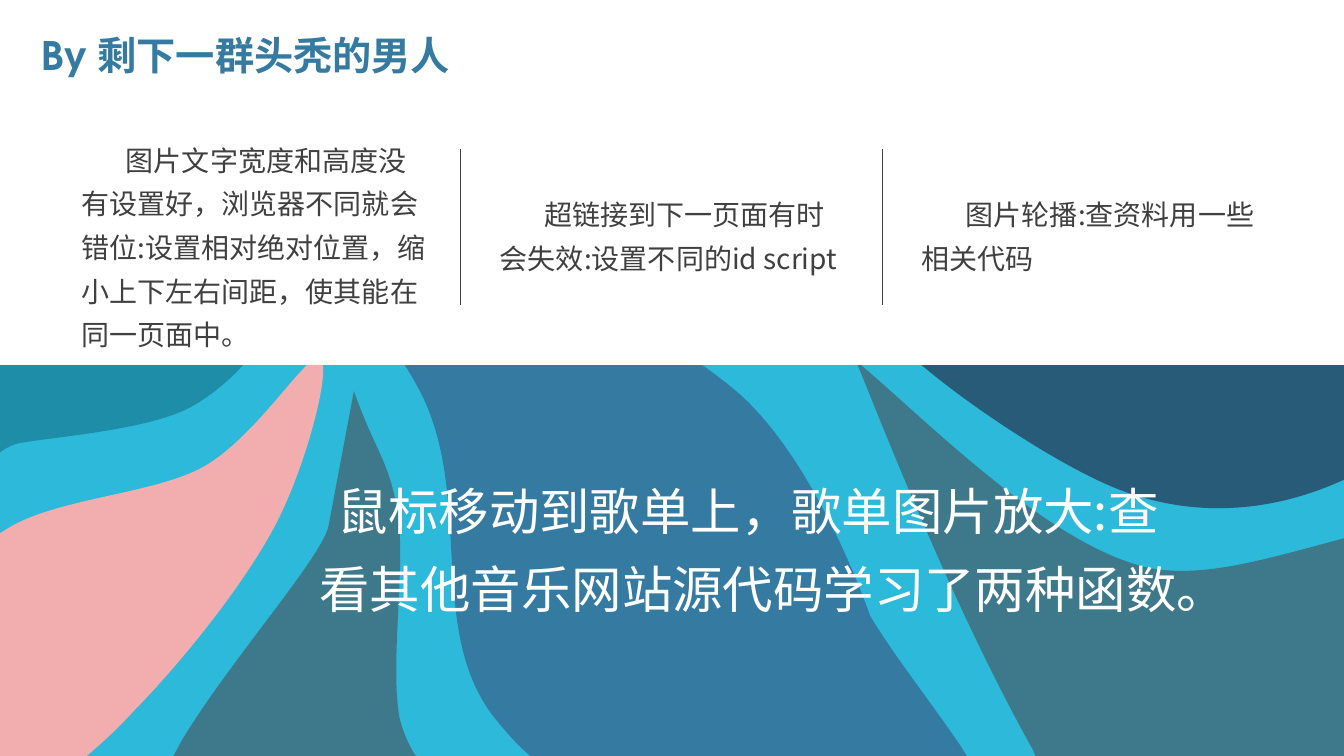
import pptx
import pptx.dml.color
import pptx.enum.shapes
import pptx.enum.text
import pptx.oxml
import pptx.oxml.ns
import pptx.util
import lxml.etree
from dataclasses import dataclass

Inches = pptx.util.Inches
ALIGN = pptx.enum.text.PP_ALIGN
ANCHOR = pptx.enum.text.MSO_ANCHOR
AUTO_SIZE = pptx.enum.text.MSO_AUTO_SIZE
qn = pptx.oxml.ns.qn


@dataclass(frozen=True)
class Theme:
    sky: str = "2DB9DA"
    teal: str = "1E8DA8"
    pink: str = "F2AEAE"
    slate: str = "3D798A"
    blue: str = "357AA0"
    navy: str = "285B78"
    white: str = "FFFFFF"
    ink: str = "404040"
    title_font: str = "TeX Gyre Adventor"
    text_font: str = "Noto Sans CJK SC"
    title_size: int = 28
    column_size: int = 20
    summary_size: int = 36
    rule_width: float = 0.5


THEME = Theme()

# Content
TITLE = "By 剩下一群头秃的男人"
COLUMNS = [  # left, top, width, height, text
    (0.71, 1.27, 3.69, 2.29,
     "图片文字宽度和高度没有设置好，浏览器不同就会错位:设置相对绝对位置，缩小上下左右间距，使其能在同一页面中。"),
    (4.86, 1.81, 3.6, 0.98, "超链接到下一页面有时会失效:设置不同的id script"),
    (9.04, 1.81, 3.6, 0.98, "图片轮播:查资料用一些相关代码"),
]
SUMMARY = "鼠标移动到歌单上，歌单图片放大:查看其他音乐网站源代码学习了两种函数。"
DIVIDERS = [4.57, 8.75]

# Leaves: colour, then a start point, lines (x, y) and curves (two controls, end)
LEAVES = [
    (THEME.teal, [
        (0, 0), (0.33, 0), (0.38, 0.08), (0.87, 0.8, 1.61, 1.89, 1.95, 2.33),
        (2.4, 2.92, 2.73, 2.77, 2.72, 3.05), (2.71, 3.34, 2.31, 3.81, 1.89, 4.04),
        (1.48, 4.26, 0.59, 4.33, 0.23, 4.39), (0.14, 4.4, 0.07, 4.44, 0.01, 4.48),
        (0, 4.49)]),
    (THEME.pink, [
        (3.15, 3.55), (3.16, 3.55, 3.17, 3.56, 3.18, 3.56),
        (3.29, 3.66, 3.03, 4.65, 2.72, 5.23), (2.41, 5.81, 1.81, 6.56, 1.33, 7.05),
        (1.21, 7.18, 1.08, 7.31, 0.94, 7.43), (0.86, 7.5), (0, 7.5), (0, 5.29),
        (0.08, 5.24), (0.57, 4.94, 1.54, 4.9, 2.02, 4.63),
        (2.53, 4.34, 3, 3.57, 3.15, 3.55)]),
    (THEME.slate, [
        (3.51, 3.88), (3.73, 4.5, 3.87, 4.58, 3.95, 5.12),
        (4.02, 5.66, 3.87, 6.56, 3.96, 7.11), (3.99, 7.24, 4.04, 7.36, 4.11, 7.48),
        (4.13, 7.5), (1.72, 7.5), (1.8, 7.35), (2.29, 6.54, 3.21, 5.51, 3.26, 5.21)]),
    (THEME.blue, [
        (1.14, -0.01), (2.78, -0.01), (2.85, 0.11), (3.12, 0.62, 3.5, 1.26, 4.02, 1.74),
        (4.84, 2.5, 6.62, 3.24, 7.39, 3.96), (8.15, 4.69, 8.63, 6.11, 8.63, 6.11),
        (8.85, 6.48, 9.22, 6.95, 9.52, 7.39), (9.59, 7.5), (5.26, 7.5), (5.16, 7.41),
        (5.05, 7.3, 4.96, 7.19, 4.88, 7.09), (4.24, 6.23, 4.69, 4.94, 4.18, 3.91),
        (3.66, 2.89, 2.3, 1.69, 1.77, 0.95), (1.51, 0.58, 1.29, 0.27, 1.15, 0.02)]),
    (THEME.navy, [
        (13.19, 2.81), (13.33, 2.81), (13.33, 4.76), (13.26, 4.79),
        (12.66, 5.05, 11.94, 5.15, 11.19, 4.89), (10.45, 4.64, 8.98, 3.6, 8.79, 3.26),
        (9.32, 3.26, 10.25, 3.18, 10.98, 3.11), (11.51, 3.03, 12.41, 2.79, 13.19, 2.81)]),
    (THEME.slate, [
        (8.49, 3.58), (9.14, 4.12, 10.31, 5.33, 11.3, 5.61),
        (11.79, 5.75, 12.39, 5.59, 12.96, 5.44), (13.33, 5.34), (13.33, 7.5),
        (10.27, 7.5), (10.24, 7.43), (9.43, 5.98, 8.72, 4.14, 8.49, 3.58)]),
]


def color(code):
    return pptx.dml.color.RGBColor.from_string(code)


def paint(shape, code):
    shape.fill.solid()
    shape.fill.fore_color.rgb = color(code)
    shape.line.fill.background()
    shape.shadow.inherit = False


def add_leaf(slide, code, segments):
    """Join the end points with lines, then bend the curved segments."""
    ends = [(Inches(segment[-2]), Inches(segment[-1])) for segment in segments]
    builder = slide.shapes.build_freeform(*ends[0])
    builder.add_line_segments(ends[1:], close=True)
    leaf = builder.convert_to_shape()
    lines = list(leaf._element.iter(qn("a:lnTo")))
    for line, segment in zip(lines, segments[1:]):
        if len(segment) == 2:
            continue
        line.tag = qn("a:cubicBezTo")
        line.remove(line[0])
        for x, y in zip(segment[::2], segment[1::2]):
            lxml.etree.SubElement(line, qn("a:pt"), x=str(Inches(x) - leaf.left),
                                  y=str(Inches(y) - leaf.top))
    paint(leaf, code)


def write(shape, text, font_name, size, code, spacing, align, bold=False, indent=0):
    frame = shape.text_frame
    frame.word_wrap = True
    frame.text = text
    paragraph = frame.paragraphs[0]
    paragraph.alignment = align
    paragraph.line_spacing = spacing
    paragraph.space_before = pptx.util.Pt(0)
    if indent:
        paragraph._p.get_or_add_pPr().set("indent", str(Inches(indent)))
    run = paragraph.runs[0]
    run.font.name = font_name
    run.font.size = pptx.util.Pt(size)
    run.font.bold = bold
    run.font.color.rgb = color(code)
    east_asian = pptx.oxml.parse_xml(
        f'<a:ea {pptx.oxml.ns.nsdecls("a")} typeface="{THEME.text_font}"/>')
    run.font._element.append(east_asian)


def add_text(slide, left, top, width, height, text, **style):
    box = slide.shapes.add_textbox(*map(Inches, (left, top, width, height)))
    write(box, text, THEME.text_font, spacing=1.3, **style)
    box.text_frame.auto_size = AUTO_SIZE.SHAPE_TO_FIT_TEXT


def add_divider(slide, x):
    line = slide.shapes.add_connector(
        pptx.enum.shapes.MSO_CONNECTOR.STRAIGHT,
        Inches(x), Inches(1.48), Inches(x), Inches(3.03))
    line.line.color.rgb = color(THEME.ink)
    line.line.width = pptx.util.Pt(THEME.rule_width)
    line._element.spPr.append(
        pptx.oxml.parse_xml(f'<a:effectLst {pptx.oxml.ns.nsdecls("a")}/>'))


def main():
    presentation = pptx.Presentation()
    presentation.slide_width = Inches(13.33)
    presentation.slide_height = Inches(7.5)
    slide = presentation.slides.add_slide(presentation.slide_layouts[5])

    # Background leaves, with a white panel over the upper half
    slide.background.fill.solid()
    slide.background.fill.fore_color.rgb = color(THEME.sky)
    for code, segments in LEAVES:
        add_leaf(slide, code, segments)
    panel = slide.shapes.add_shape(
        pptx.enum.shapes.MSO_SHAPE.RECTANGLE, 0, 0, presentation.slide_width, Inches(3.62))
    paint(panel, THEME.white)

    # Title, brought in front of the panel
    title = slide.shapes.title
    slide.shapes._spTree.append(title._element)
    title.left, title.top, title.width, title.height = map(Inches, (0.31, 0.25, 8.48, 0.65))
    write(title, TITLE, THEME.title_font, THEME.title_size, THEME.blue, 0.9,
          ALIGN.LEFT, bold=True)
    title.text_frame.vertical_anchor = ANCHOR.MIDDLE
    title.text_frame.auto_size = AUTO_SIZE.NONE

    # Three columns with dividers
    for left, top, width, height, text in COLUMNS:
        add_text(slide, left, top, width, height, text, size=THEME.column_size,
                 code=THEME.ink, align=ALIGN.LEFT, indent=0.44)
    for x in DIVIDERS:
        add_divider(slide, x)

    # Summary over the leaves
    add_text(slide, 3.04, 4.53, 8.76, 1.68, SUMMARY, size=THEME.summary_size,
             code=THEME.white, align=ALIGN.CENTER)

    presentation.save("out.pptx")


if __name__ == "__main__":
    main()
